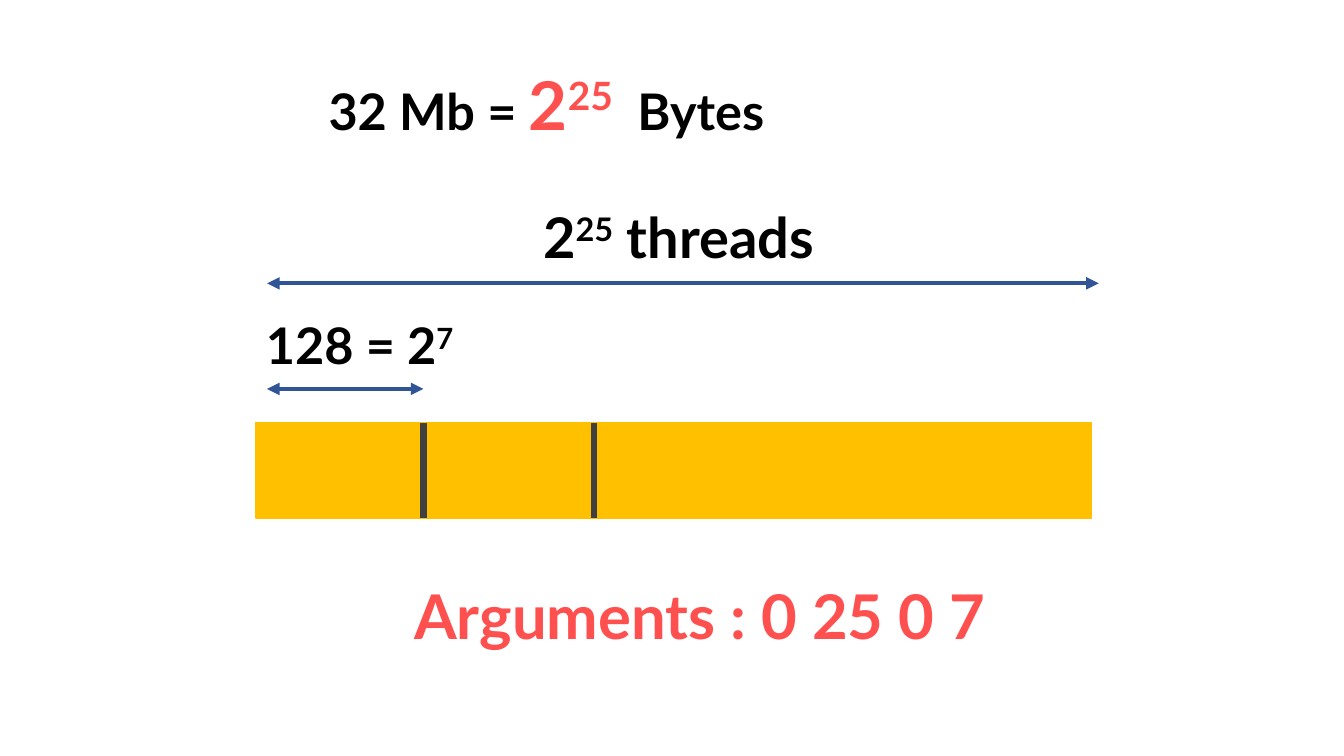
import pptx
import pptx.util
import pptx.dml.color
import pptx.enum.shapes
import pptx.enum.text
import pptx.oxml.ns
import lxml.etree

Cm = pptx.util.Cm
Pt = pptx.util.Pt
RGBColor = pptx.dml.color.RGBColor
qn = pptx.oxml.ns.qn

BLACK = RGBColor(0x00, 0x00, 0x00)
RED = RGBColor(0xFF, 0x50, 0x50)
GOLD = RGBColor(0xFF, 0xC0, 0x00)
GREY = RGBColor(0x40, 0x40, 0x40)
BLUE = RGBColor(0x2F, 0x55, 0x97)


def add_line(x1, y1, x2, y2, color, width, arrow):
    line = slide.shapes.add_connector(
        pptx.enum.shapes.MSO_CONNECTOR.STRAIGHT, Cm(x1), Cm(y1), Cm(x2), Cm(y2))
    line.line.color.rgb = color
    line.line.width = Pt(width)
    if arrow:
        for end in ("a:headEnd", "a:tailEnd"):
            lxml.etree.SubElement(line.line._get_or_add_ln(), qn(end), type="triangle")
    lxml.etree.SubElement(line._element.spPr, qn("a:effectLst"))


def add_label(left, top, width, height, size, color, parts):
    box = slide.shapes.add_textbox(Cm(left), Cm(top), Cm(width), Cm(height))
    frame = box.text_frame
    frame.word_wrap = True
    frame.auto_size = pptx.enum.text.MSO_AUTO_SIZE.SHAPE_TO_FIT_TEXT
    para = frame.paragraphs[0]
    para.font.name = "Lato"
    para.font.bold = True
    para.font.size = Pt(size)
    para.font.color.rgb = color
    for text, raised, big, tint in parts:
        run = para.add_run()
        run.text = text
        if raised:
            run.font._element.set("baseline", "30000")
        if big:
            run.font.size = Pt(big)
        if tint:
            run.font.color.rgb = tint


deck = pptx.Presentation()
deck.slide_width = Cm(33.87)
deck.slide_height = Cm(19.05)
slide = deck.slides.add_slide(deck.slide_layouts[6])

bar = slide.shapes.add_shape(
    pptx.enum.shapes.MSO_SHAPE.RECTANGLE, Cm(6.45), Cm(10.65), Cm(21.06), Cm(2.4))
bar.shadow.inherit = False
bar.fill.solid()
bar.fill.fore_color.rgb = GOLD
bar.line.color.rgb = GOLD
bar.line.width = Pt(1)

for x in (10.67, 14.97):
    add_line(x, 10.65, x, 13.05, GREY, 4.5, False)

for y, right in ((7.14, 27.69), (9.8, 10.67)):
    add_line(6.73, y, right, y, BLUE, 3, True)

labels = [
    (8.03, 1.47, 13.13, 2.31, 36, BLACK, [
        ("32 Mb = ", False, None, None),
        ("2", False, 48, RED),
        ("25", True, 48, RED),
        (" ", False, None, RED),
        (" Bytes", False, None, None)]),
    (6.45, 7.8, 5.79, 1.8, 36, BLACK, [
        ("128 = 2", False, None, None),
        ("7", True, None, None)]),
    (10.19, 14.43, 16.23, 2.13, 44, RED, [
        ("Arguments : 0 25 0 7", False, None, None)]),
    (13.44, 4.98, 11, 1.96, 40, BLACK, [
        ("2", False, None, None),
        ("25", True, None, None),
        (" threads", False, None, None)]),
]
for label in labels:
    add_label(*label)

deck.save("out.pptx")
